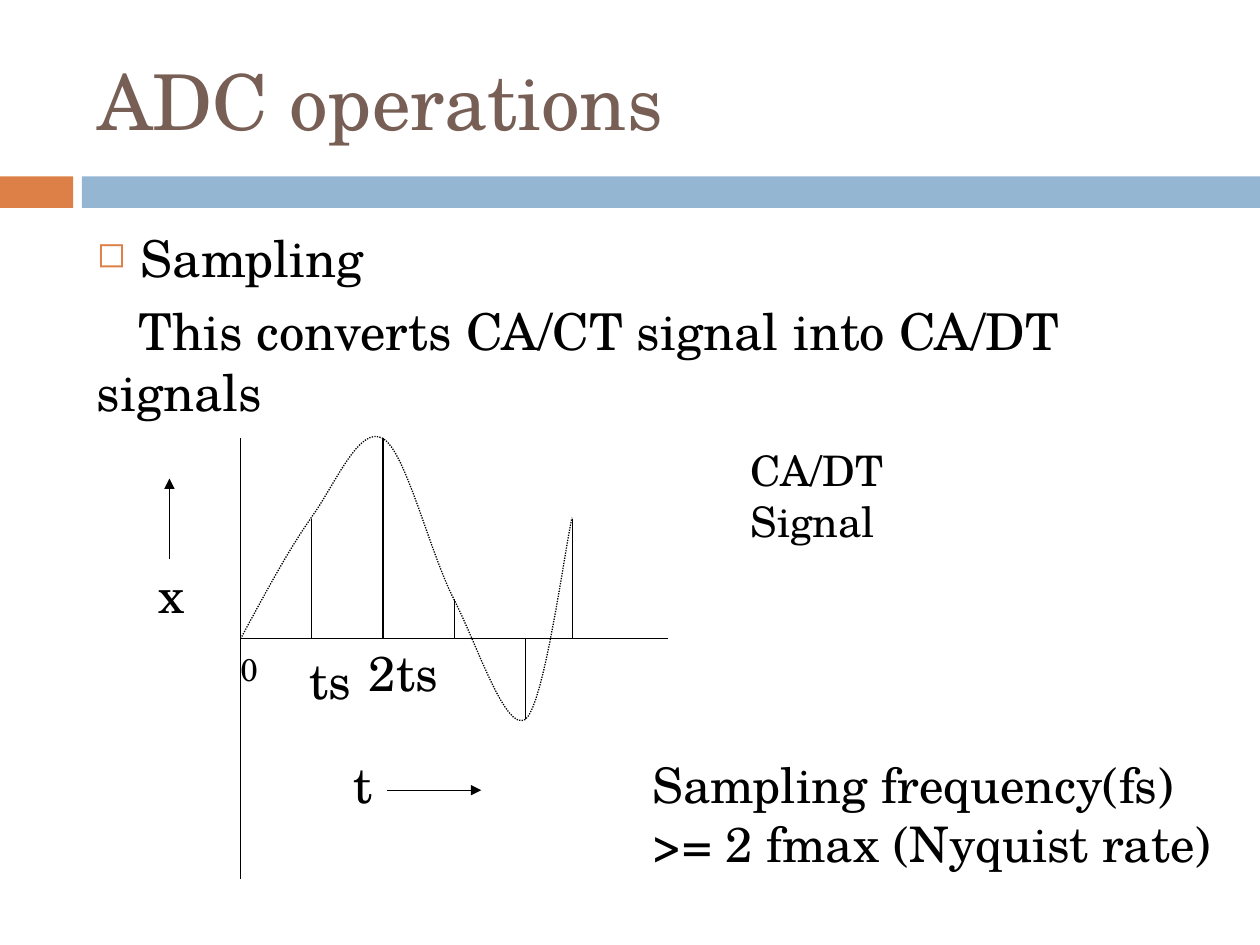
from pptx import Presentation
from pptx.dml.color import RGBColor as RGB
from pptx.enum.dml import MSO_LINE as Dash
from pptx.enum.shapes import MSO_CONNECTOR as Conn, MSO_SHAPE as Shape
from pptx.enum.text import MSO_ANCHOR as Anchor
from pptx.oxml.ns import qn
from pptx.util import Inches, Pt
from lxml.etree import SubElement as Sub

FONT = "TeX Gyre Schola"
BLACK = RGB(0x00, 0x00, 0x00)
BROWN = RGB(0x77, 0x5F, 0x55)
ORANGE = RGB(0xDD, 0x80, 0x47)
BLUE = RGB(0x94, 0xB6, 0xD2)
LEFT, BASE = 1.91, 5.07
COL, ROW = 0.565, 0.318

deck = Presentation()
deck.slide_width, deck.slide_height = Inches(10), Inches(7.5)
slide = deck.slides.add_slide(deck.slide_layouts[5])
shapes = slide.shapes


def note(lines, size, x, y, wide, high):
    box = shapes.add_textbox(Inches(x), Inches(y), Inches(wide), Inches(high))
    frame = box.text_frame
    frame.word_wrap = True
    frame.text = "\n".join(lines)
    for para in frame.paragraphs:
        font = para.runs[0].font
        font.name, font.size, font.color.rgb = FONT, Pt(size), BLACK
    return frame


def rule(start, end, arrow=False):
    (a, b), (c, d) = [(Inches(LEFT + col * COL), Inches(BASE - row * ROW))
                      for col, row in (start, end)]
    line = shapes.add_connector(Conn.STRAIGHT, a, b, c, d)
    line.line.color.rgb, line.line.width = BLACK, Pt(0.75)
    prop = line._element.spPr
    if arrow:
        Sub(prop.find(qn("a:ln")), qn("a:tailEnd"), type="triangle")
    Sub(prop, qn("a:effectLst"))


for x, wide, tint in ((0, 0.58, ORANGE), (0.65, 9.35, BLUE)):
    band = shapes.add_shape(Shape.RECTANGLE, Inches(x), Inches(1.4), Inches(wide), Inches(0.25))
    band.shadow.inherit = False
    band.fill.solid()
    band.fill.fore_color.rgb = tint
    band.line.fill.background()

title = shapes.title
title.left, title.top = Inches(0.67), Inches(0.25)
title.width, title.height = Inches(8.92), Inches(1.08)
title.text_frame.text = "ADC operations"
title.text_frame.vertical_anchor = Anchor.MIDDLE
head = title.text_frame.paragraphs[0]
head._p.get_or_add_pPr().set("algn", "l")
font = head.runs[0].font
font.name, font.size, font.color.rgb = FONT, Pt(44), BROWN

body = note(["Sampling", "This converts CA/CT signal into CA/DT signals"],
            29, 0.67, 1.75, 8.92, 4.92)
first, second = body.paragraphs
prop = first._p.get_or_add_pPr()
prop.set("marL", str(Inches(0.35)))
prop.set("indent", str(-Inches(0.35)))
Sub(Sub(prop, qn("a:buClr")), qn("a:srgbClr"), val=str(ORANGE))
Sub(prop, qn("a:buSzPct"), val="70000")
Sub(prop, qn("a:buChar"), char="◻")
second.space_before = Pt(7)
second._p.get_or_add_pPr().set("indent", str(Inches(0.33)))

rule((0, 5), (0, -6))
rule((0, 0), (6, 0))
for col, row in ((1, 3), (2, 5), (3, 1), (4, -2), (4.66, 3)):
    rule((col, 0), (col, row))
rule((2.05, -3.78), (3.38, -3.78), True)
rule((-1, 2), (-1, 4), True)

arcs = [
    [(1.91, 5.07), (2.1, 4.72), (2.28, 4.38), (2.47, 4.11)],
    [(2.47, 4.11), (2.66, 3.85), (2.85, 3.37), (3.04, 3.48)],
    [(3.04, 3.48), (3.22, 3.58), (3.41, 4.38), (3.6, 4.75)],
    [(3.6, 4.75), (3.79, 5.12), (4.01, 5.81), (4.17, 5.71)],
    [(4.17, 5.71), (4.32, 5.6), (4.48, 4.38), (4.54, 4.11)],
]
dots = []
for arc in arcs:
    for step in range(1, 17):
        t = step / 16
        parts = ((1 - t) ** 3, 3 * t * (1 - t) ** 2, 3 * t * t * (1 - t), t ** 3)
        dots.append([Inches(sum(p * k[i] for p, k in zip(parts, arc))) for i in (0, 1)])
pen = shapes.build_freeform(Inches(LEFT), Inches(BASE))
pen.add_line_segments(dots, close=False)
wave = pen.convert_to_shape()
wave.shadow.inherit = False
wave.fill.background()
wave.line.color.rgb, wave.line.width = BLACK, Pt(0.75)
wave.line.dash_style = Dash.ROUND_DOT

for lines, size, x, y, wide, high in (
    (["t"], 28, 2.71, 5.94, 0.56, 0.64),
    (["x"], 28, 1.16, 4.43, 0.56, 0.64),
    (["CA/DT Signal"], 24, 5.86, 3.48, 1.88, 0.95),
    (["Sampling frequency(fs)", ">= 2 fmax (Nyquist rate)"], 28, 5.08, 5.94, 4.72, 1.04),
    (["ts"], 28, 2.36, 5.11, 0.59, 0.57),
    (["2ts"], 28, 2.83, 5.05, 0.83, 0.57),
    (["0"], 18, 1.81, 5.11, 0.55, 0.4),
):
    note(lines, size, x, y, wide, high)

deck.save("out.pptx")
